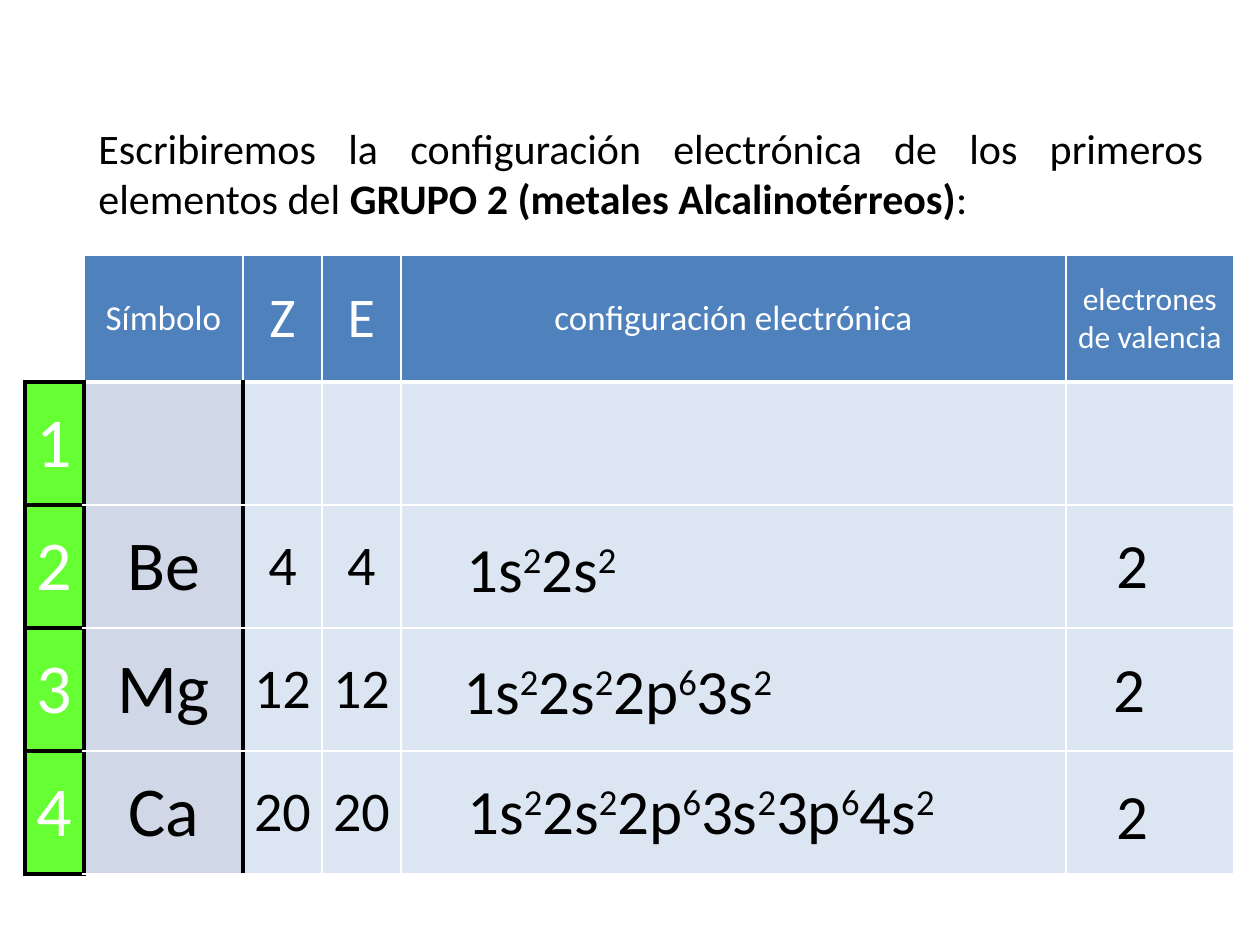
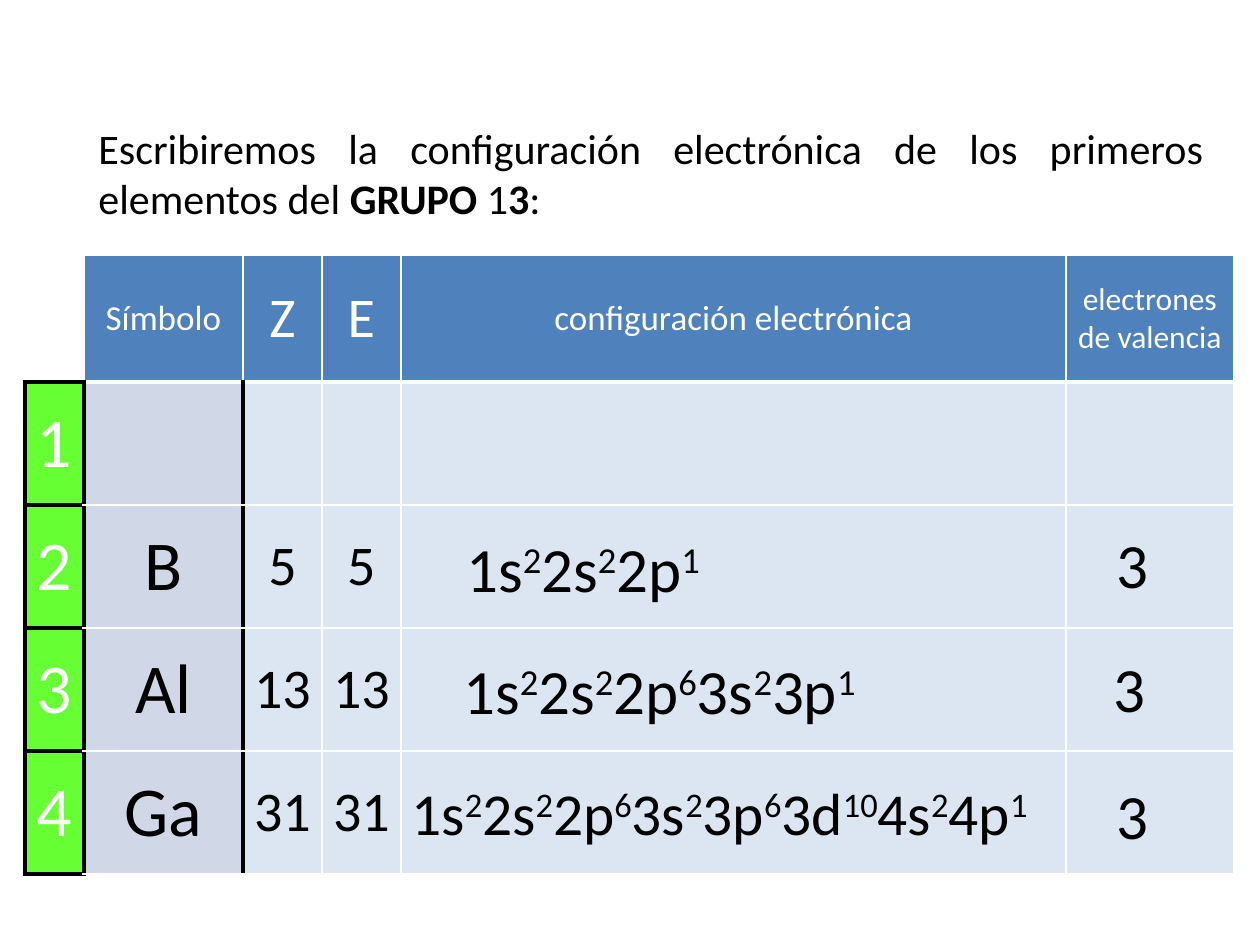
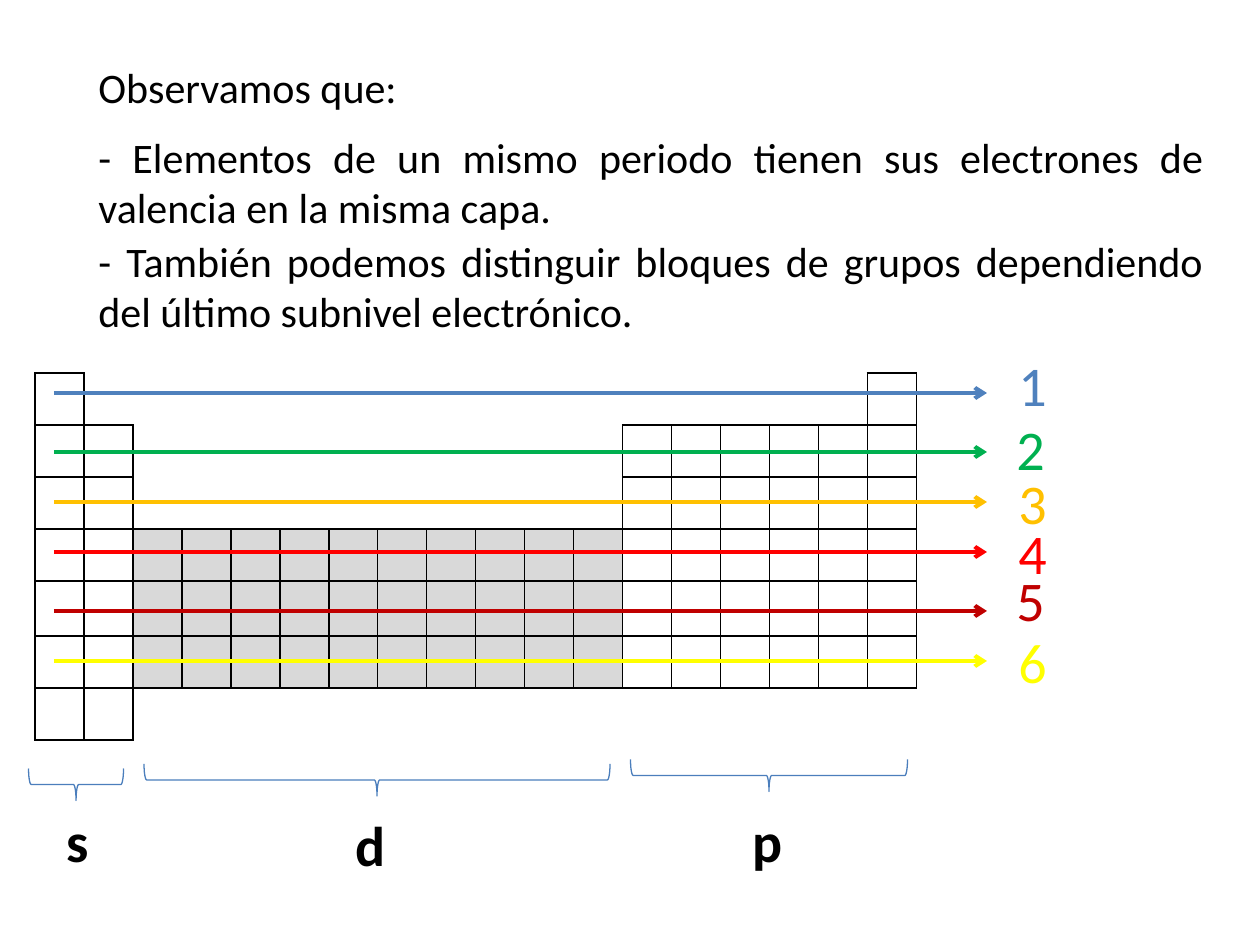
from lxml import etree
from pptx import Presentation, util as u
from pptx.dml.color import RGBColor
from pptx.enum import shapes, text
from pptx.oxml.ns import qn

PX = 7257  # EMU in one px, 126 px to the inch
FONT = "Calibri"
BLACK, WHITE, BLUE = "000000", "FFFFFF", "4F81BD"
GREEN, LILAC, PALE, GREY = "66FF33", "D0D8E8", "DCE6F2", "D9D9D9"
rgb = RGBColor.from_string


def write(frame, runs, size, hue=BLACK, bold=False, align=text.PP_ALIGN.LEFT):
    """Fill one paragraph from (words, kind) pairs; kind is "", "bold" or "sup"."""
    para = frame.paragraphs[0]
    para.alignment = align
    font = para.font
    font.name, font.size, font.bold = FONT, u.Pt(size), bold
    font.color.rgb = rgb(hue)
    for words, kind in runs:
        run = para.add_run()
        run.text = words
        if kind == "bold":
            run.font.bold = True
        elif kind == "sup":
            run._r.get_or_add_rPr().set("baseline", "30000")


def label(slide, box, runs, size, **look):
    frame = slide.shapes.add_textbox(*(n * PX for n in box)).text_frame
    frame.word_wrap = True
    frame.auto_size = text.MSO_AUTO_SIZE.SHAPE_TO_FIT_TEXT
    write(frame, runs, size, **look)


def paint(cell, fill, edges):
    """Set fill and borders; edges maps L, R, T, B to (hue, points), hue None for no line."""
    cell.margin_left = cell.margin_right = 9 * PX
    cell.margin_top = cell.margin_bottom = 0
    cell.vertical_anchor = text.MSO_ANCHOR.MIDDLE
    props = cell._tc.get_or_add_tcPr()
    for side in "LRTB":
        hue, width = edges[side]
        line = etree.SubElement(props, qn(f"a:ln{side}"), w=str(u.Pt(width)))
        if hue:
            solid = etree.SubElement(line, qn("a:solidFill"))
            etree.SubElement(solid, qn("a:srgbClr"), val=hue)
        else:
            etree.SubElement(line, qn("a:noFill"))
    if fill:
        cell.fill.solid()
        cell.fill.fore_color.rgb = rgb(fill)
    else:
        cell.fill.background()


def grid(slide, left, top, cols, rows):
    table = slide.shapes.add_table(len(rows), len(cols), left * PX, top * PX,
                                   sum(cols) * PX, sum(rows) * PX).table
    table.first_row = table.horz_banding = False
    for col, width in zip(table.columns, cols):
        col.width = width * PX
    for row, height in zip(table.rows, rows):
        row.height = height * PX
    return table


deck = Presentation()
deck.slide_width, deck.slide_height = u.Inches(10), u.Inches(7.5)
blank = deck.slide_layouts[6]

# Electron configurations of two groups
INTRO = "Escribiremos la configuración electrónica de los primeros elementos del "
HEADS = ["", "Símbolo", "Z", "E", "configuración electrónica", "electrones de valencia"]
HEAD_SIZES = [20, 20, 32, 32, 20, 18]
BODY_SIZES = [40, 40, 32, 32, 32, 32]
FILLS = [GREEN, LILAC] + [PALE] * 4
THIN, THICK, HEAVY = (WHITE, 1), (WHITE, 3), (BLACK, 3)
WIDE = (399, 770, 727, 84)
SPOTS = [(454, 523, 367, 89), (451, 645, 556, 140), (455, 765, 572, 89)]
VALENCE = [(1104, 519), (1101, 643), (1104, 770)]

groups = [
    ([("GRUPO 2 (metales Alcalinotérreos)", "bold"), (":", "")], "2",
     [("Be", "4", "1s2 2s2"),
      ("Mg", "12", "1s2 2s2 2p6 3s2"),
      ("Ca", "20", "1s2 2s2 2p6 3s2 3p6 4s2")]),
    ([("GRUPO ", "bold"), ("1", ""), ("3", "bold"), (":", "")], "3",
     [("B", "5", "1s2 2s2 2p1"),
      ("Al", "13", "1s2 2s2 2p6 3s2 3p1"),
      ("Ga", "31", "1s2 2s2 2p6 3s2 3p6 3d10 4s2 4p1")]),
]

for name, count, atoms in groups:
    slide = deck.slides.add_slide(blank)
    table = grid(slide, 25, 255, [59, 159, 79, 79, 665, 168], [127] + [123] * 4)
    lines = [HEADS, ["1"] + [""] * 5]
    for period, (symbol, number, _) in enumerate(atoms, 2):
        lines.append([str(period), symbol, number, number, "", ""])
    for r, line in enumerate(lines):
        for c, words in enumerate(line):
            edges = dict.fromkeys("LRTB", THIN)
            hue = WHITE if r == 0 or c == 0 else BLACK
            if r == 0:
                fill = BLUE if c else WHITE
                size = HEAD_SIZES[c]
                edges["B"] = THICK if c else HEAVY
            else:
                fill, size = FILLS[c], BODY_SIZES[c]
                if c == 0:
                    edges = dict.fromkeys("LRTB", HEAVY)
                elif c == 1:
                    edges.update(L=HEAVY, R=HEAVY)
                elif c == 2:
                    edges["L"] = HEAVY
                if r == 1:
                    edges["T"] = HEAVY if c == 0 else THICK
            cell = table.cell(r, c)
            paint(cell, fill, edges)
            if words:
                write(cell.text_frame, [(words, "")], size, hue, align=text.PP_ALIGN.CENTER)

    label(slide, (86, 116, 1130, 115), [(INTRO, "")] + name, 24, align=text.PP_ALIGN.JUSTIFY)
    for (_, _, shells), spot, (x, y) in zip(atoms, SPOTS, VALENCE):
        runs = []
        for shell in shells.split():
            runs += [(shell[:2], ""), (shell[2:], "sup")]
        long = "3d" in shells
        label(slide, WIDE if long else spot, runs, 34 if long else 36)
        label(slide, (x, y, 73, 89), [(count, "")], 36)

# Periods and blocks
slide = deck.slides.add_slide(blank)
notes = [
    (55, 63, "Observamos que:"),
    (125, 115, "- Elementos de un mismo periodo tienen sus electrones de valencia en la misma capa."),
    (229, 115, "- También podemos distinguir bloques de grupos dependiendo del último subnivel electrónico."),
]
for y, high, words in notes:
    label(slide, (86, y, 1130, high), [(words, "")], 24, align=text.PP_ALIGN.JUSTIFY)

# Columns that hold an element, period by period
ends = {0, 1, *range(12, 18)}
full = set(range(18))
held = [{0, 17}, ends, ends, full, full, full, {0, 1}]
used = {(r, c) for r, cols in enumerate(held) for c in cols}
STEPS = {"L": (0, -1), "R": (0, 1), "T": (-1, 0), "B": (1, 0)}

table = grid(slide, 35, 373, [49] * 18, [52, 52, 52, 52, 55, 52, 52])
for r in range(7):
    for c in range(18):
        edges = {}
        for side, (down, across) in STEPS.items():
            drawn = (r, c) in used or (r + down, c + across) in used
            edges[side] = (BLACK if drawn else None, 1)
        metal = 3 <= r <= 5 and 2 <= c <= 11
        paint(table.cell(r, c), GREY if metal else None, edges)

periods = [
    (393, 1006, 344, BLUE),
    (452, 1004, 408, "00B050"),
    (502, 1006, 462, "FFC000"),
    (552, 1006, 512, "FF0000"),
    (611, 1004, 559, "C00000"),
    (661, 1006, 621, "FFFF00"),
]
for period, (y, x, top, hue) in enumerate(periods, 1):
    arrow = slide.shapes.add_connector(shapes.MSO_CONNECTOR.STRAIGHT,
                                       54 * PX, y * PX, 987 * PX, y * PX)
    arrow.line.color.rgb = rgb(hue)
    arrow.line.width = u.Pt(2.25)
    etree.SubElement(arrow.line._get_or_add_ln(), qn("a:tailEnd"), type="arrow")
    etree.SubElement(arrow._element.spPr, qn("a:effectLst"))
    label(slide, (x, top, 69, 81), [(str(period), "")], 32, hue=hue)

blocks = [
    ("s", 76, 784, 95, 54, 800),
    ("d", 377, 780, 466, 343, 804),
    ("p", 769, 775, 277, 740, 800),
]
for block, mid, y, span, x, top in blocks:
    brace = slide.shapes.add_shape(shapes.MSO_SHAPE.RIGHT_BRACE, (mid - 16) * PX,
                                   (y - span // 2) * PX, 32 * PX, span * PX)
    brace.rotation = 90
    brace.shadow.inherit = False
    brace.fill.background()
    brace.line.color.rgb = rgb("4B7EBC")
    brace.line.width = u.Pt(0.75)
    label(slide, (x, top, 69, 81), [(block, "")], 32, bold=True)

deck.save("out.pptx")
